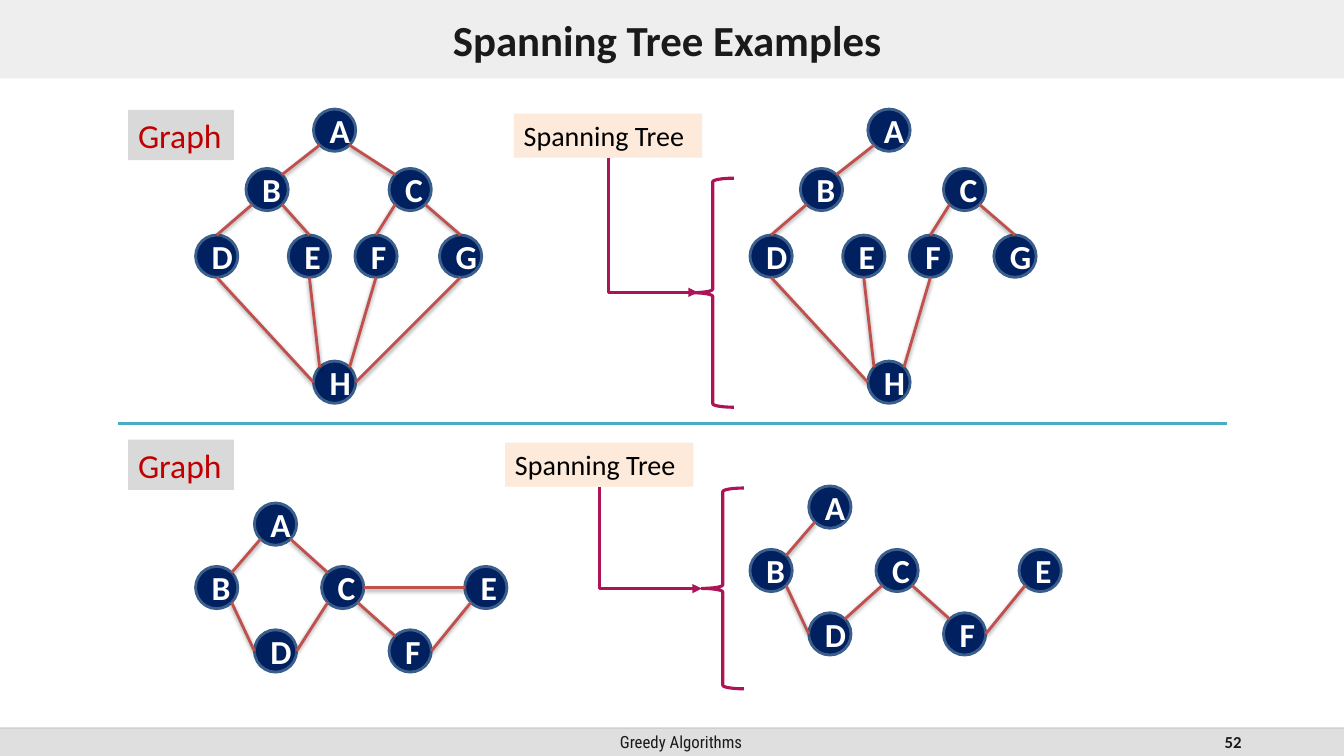
import math
from dataclasses import dataclass
from typing import Any, NamedTuple

import lxml.etree
import pptx
import pptx.dml.color
import pptx.enum.shapes
import pptx.enum.text
import pptx.oxml
import pptx.oxml.ns
import pptx.util

Pt = pptx.util.Pt
qn = pptx.oxml.ns.qn
RGB = pptx.dml.color.RGBColor.from_string
SHAPE = pptx.enum.shapes.MSO_SHAPE
LINK = pptx.enum.shapes.MSO_CONNECTOR
ALIGN = pptx.enum.text.PP_ALIGN
ANCHOR = pptx.enum.text.MSO_ANCHOR


@dataclass(frozen=True)
class Theme:
    font: str = "Calibri"
    footer_font: str = "Roboto Condensed"
    band: str = "DFDFDF"
    band_rule: str = "BFBFBF"
    ink: str = "1A1A1A"
    black: str = "000000"
    white: str = "FFFFFF"
    node: str = "002060"
    node_ring: str = "3A5F8C"
    edge: str = "C0504D"
    divider: str = "4BACC6"
    graph_fill: str = "D9D9D9"
    graph_text: str = "C00000"
    tree_fill: str = "FDEADA"
    pointer: str = "AD1457"
    title_size: float = 30.6
    large: float = 24
    medium: float = 20
    small: float = 12


class Box(NamedTuple):
    left: float
    top: float
    width: float
    height: float


class Edge(NamedTuple):
    start: str
    start_side: str
    end: str
    end_side: str


class Label(NamedTuple):
    text: str
    box: Box
    fill: str
    color: str
    size: float


class Pointer(NamedTuple):
    start: tuple[float, float]
    end: tuple[float, float]
    brace: Box


class Network(NamedTuple):
    nodes: dict[str, tuple[float, float]]  # centres
    edges: list[Edge]
    shift: tuple[float, float] = (0, 0)


THEME = Theme()
DIAMETER = 30.2
DIAGONAL = math.sqrt(0.5)
SIDES = {"N": (0, -1), "S": (0, 1), "W": (-1, 0), "E": (1, 0),
         "NW": (-DIAGONAL, -DIAGONAL), "NE": (DIAGONAL, -DIAGONAL),
         "SW": (-DIAGONAL, DIAGONAL), "SE": (DIAGONAL, DIAGONAL)}


def edges_from(listing: str) -> list[Edge]:
    """Read edges written as 'A.SW-B.NE'."""
    return [Edge(*pair.replace("-", ".").split(".")) for pair in listing.split()]


# Content: the two graphs and their spanning trees
UPPER_NODES = {"A": (239, 93), "B": (190.8, 135.4), "C": (293, 135.4), "D": (154.8, 183),
               "E": (221, 183), "F": (268.6, 183), "G": (329, 183), "H": (239, 273)}
LOWER_NODES = {"A": (196.8, 374.4), "B": (154.8, 419.7), "C": (244.8, 419.7),
               "D": (196.8, 465), "E": (347, 419.7), "F": (293, 465)}
UPPER_TREE = edges_from("A.SW-B.NE B.SW-D.N C.SW-F.N C.SE-G.N D.S-H.W E.S-H.NW F.S-H.NE")
LOWER_COMMON = edges_from("A.SW-B.NE B.SE-D.W C.SE-F.NW E.SW-F.E")
NETWORKS = [
    Network(UPPER_NODES, UPPER_TREE + edges_from("A.SE-C.NW B.SE-E.N G.S-H.E")),
    Network(UPPER_NODES, UPPER_TREE, (396, 0)),
    Network(LOWER_NODES, LOWER_COMMON + edges_from("A.SE-C.NW D.E-C.SW C.E-E.W")),
    Network(LOWER_NODES, LOWER_COMMON + edges_from("D.NE-C.SW"), (396, -12.2)),
]
LABELS = [
    Label("Graph", Box(91.5, top, 75.6, 36), THEME.graph_fill, THEME.graph_text, THEME.large)
    for top in (78.5, 314)
] + [
    Label("Spanning Tree", Box(left, top, 134.6, 31.5), THEME.tree_fill, THEME.black, THEME.medium)
    for left, top in ((367, 81.2), (360.8, 316.2))
]
POINTERS = [
    Pointer((434.4, 112.6), (498.4, 208.8), Box(494, 127.3, 30.2, 163.6)),
    Pointer((428.2, 347.8), (501.2, 420.4), Box(501.2, 348.6, 30.2, 143.4)),
]


def points(*lengths: float) -> list[pptx.util.Length]:
    return [Pt(length) for length in lengths]


def set_alpha(properties: Any, percent: int) -> None:
    for color in properties.iter(qn("a:srgbClr")):
        lxml.etree.SubElement(color, qn("a:alpha")).set("val", str(percent * 1000))


def fill_solid(shape: Any, color: str) -> None:
    shape.fill.solid()
    shape.fill.fore_color.rgb = RGB(color)


def set_text(shape: Any, text: str, size: float, color: str, bold: bool = False,
             align: Any = ALIGN.LEFT, anchor: Any = ANCHOR.MIDDLE, font: str = THEME.font) -> None:
    frame = shape.text_frame
    frame.text = text
    frame.word_wrap = True
    frame.auto_size = pptx.enum.text.MSO_AUTO_SIZE.NONE
    frame.vertical_anchor = anchor
    paragraph = frame.paragraphs[0]
    paragraph.alignment = align
    paragraph.font.name, paragraph.font.size, paragraph.font.bold = font, Pt(size), bold
    paragraph.font.color.rgb = RGB(color)


def add_line(slide: Any, start: tuple[float, float], end: tuple[float, float], color: str,
             width: float, kind: Any = LINK.STRAIGHT) -> Any:
    line = slide.shapes.add_connector(kind, *points(*start, *end))
    line.line.color.rgb = RGB(color)
    line.line.width = Pt(width)
    lxml.etree.SubElement(line._element.spPr, qn("a:effectLst"))
    return line


def add_edge_shadow(edge: Any) -> None:
    effects = edge._element.spPr.find(qn("a:effectLst"))
    shadow = lxml.etree.SubElement(effects, qn("a:outerShdw"), blurRad=str(Pt(3.1)),
                                   dist=str(Pt(1.6)), dir="5400000", rotWithShape="0")
    lxml.etree.SubElement(shadow, qn("a:srgbClr")).set("val", THEME.black)
    set_alpha(shadow, 38)


def draw_network(slide: Any, network: Network) -> None:
    radius = DIAMETER / 2
    shift_x, shift_y = network.shift
    centres = {name: (x + shift_x, y + shift_y) for name, (x, y) in network.nodes.items()}
    for name, (x, y) in centres.items():
        node = slide.shapes.add_shape(
            SHAPE.OVAL, *points(x - radius, y - radius, DIAMETER, DIAMETER))
        node.shadow.inherit = False
        fill_solid(node, THEME.node)
        node.line.color.rgb = RGB(THEME.node_ring)
        node.line.width = Pt(2)
        set_text(node, name, THEME.large, THEME.white, True, ALIGN.CENTER)

    def rim(name: str, side: str) -> tuple[float, float]:
        (x, y), (dx, dy) = centres[name], SIDES[side]
        return x + radius * dx, y + radius * dy

    for edge in network.edges:
        add_edge_shadow(add_line(slide, rim(edge.start, edge.start_side),
                                 rim(edge.end, edge.end_side), THEME.edge, 2))


def draw_label(slide: Any, label: Label) -> None:
    caption = slide.shapes.add_textbox(*points(*label.box))
    fill_solid(caption, label.fill)
    set_text(caption, label.text, label.size, label.color, anchor=ANCHOR.TOP)


def draw_pointer(slide: Any, pointer: Pointer) -> None:
    arrow = add_line(slide, pointer.start, pointer.end, THEME.pointer, 2.25, LINK.ELBOW)
    # Bend at the start: down first, then right
    adjustments = arrow._element.spPr.find(qn("a:prstGeom")).get_or_add_avLst()
    lxml.etree.SubElement(adjustments, qn("a:gd"), name="adj1", fmla="val 0")
    lxml.etree.SubElement(arrow.line._get_or_add_ln(), qn("a:tailEnd"), type="triangle")
    brace = slide.shapes.add_shape(SHAPE.LEFT_BRACE, *points(*pointer.brace))
    brace.shadow.inherit = False
    brace.fill.background()
    brace.line.color.rgb = RGB(THEME.pointer)
    brace.line.width = Pt(2.25)


def draw_title(slide: Any) -> None:
    title = slide.shapes.title
    title.left, title.top, title.width, title.height = points(0, 0, 960, 56)
    fill_solid(title, THEME.band)
    set_alpha(title._element.spPr, 50)
    frame = title.text_frame
    frame.margin_left = frame.margin_right = Pt(17.3)
    frame.margin_top = frame.margin_bottom = Pt(8.6)
    set_text(title, "Spanning Tree Examples ", THEME.title_size, THEME.ink, True, ALIGN.CENTER)


def draw_footer(slide: Any) -> None:
    band = slide.shapes.add_shape(SHAPE.RECTANGLE, *points(0, 520, 960, 20))
    band.shadow.inherit = False
    fill_solid(band, THEME.band)
    band.line.fill.background()
    course = slide.shapes.add_textbox(*points(318, 520, 337, 20))
    set_text(course, "Greedy Algorithms", THEME.small, THEME.ink, align=ALIGN.CENTER,
             font=THEME.footer_font)
    number = slide.shapes.add_textbox(*points(678, 520, 216, 20))
    set_text(number, "52", THEME.small, THEME.ink, True, ALIGN.RIGHT)
    rule = add_line(slide, (0, 520), (960, 520), THEME.band_rule, 1)
    set_alpha(rule._element.spPr, 70)


def main() -> None:
    deck = pptx.Presentation()
    deck.slide_width, deck.slide_height = points(960, 540)
    slide = deck.slides.add_slide(deck.slide_layouts[5])
    draw_footer(slide)
    draw_title(slide)
    for network in NETWORKS:
        draw_network(slide, network)
    add_line(slide, (84.2, 302.4), (876.2, 302.4), THEME.divider, 2.25)
    for label in LABELS:
        draw_label(slide, label)
    for pointer in POINTERS:
        draw_pointer(slide, pointer)
    deck.save("out.pptx")


if __name__ == "__main__":
    main()
